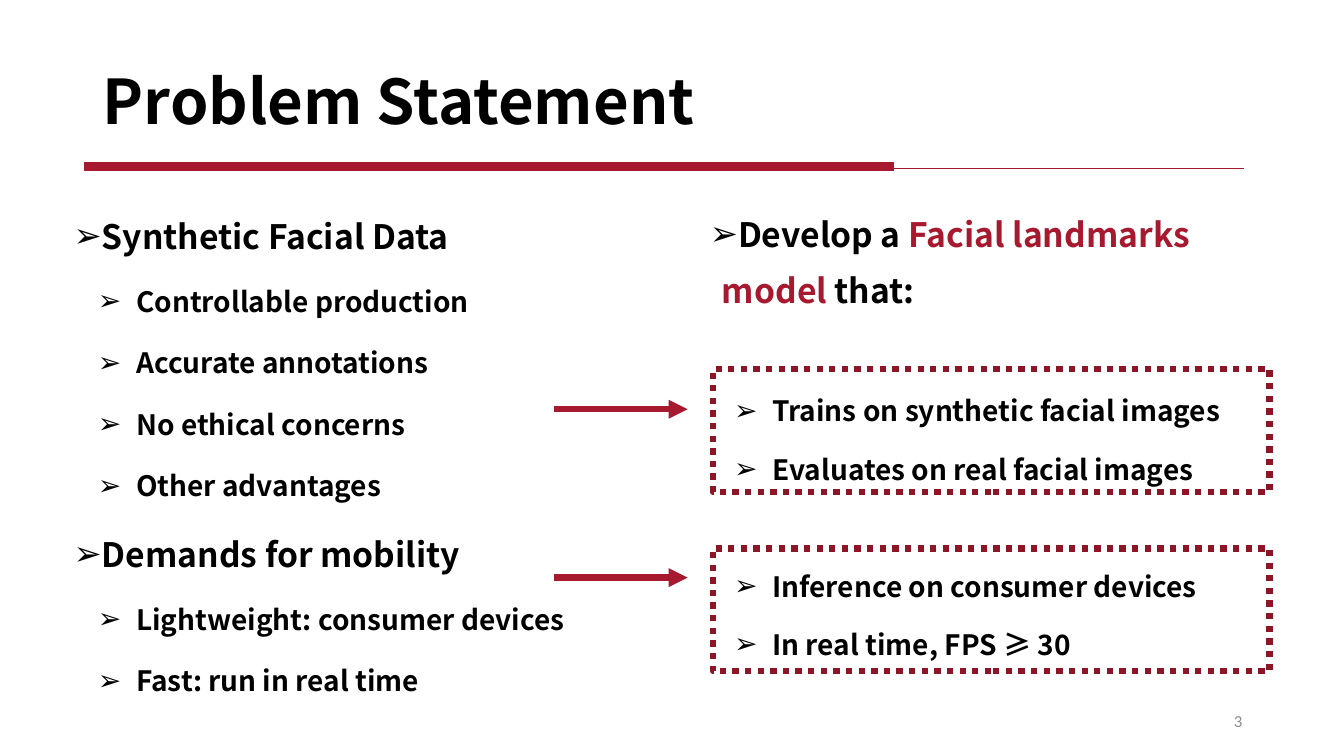
"""Build the Problem Statement slide."""
from lxml import etree
from pptx import Presentation
from pptx.dml.color import RGBColor
from pptx.enum.dml import MSO_LINE
from pptx.enum.shapes import MSO_CONNECTOR, MSO_SHAPE
from pptx.enum.text import MSO_ANCHOR, MSO_AUTO_SIZE, PP_ALIGN
from pptx.oxml.ns import qn
from pptx.util import Inches, Pt

STRAIGHT = MSO_CONNECTOR.STRAIGHT
RECTANGLE = MSO_SHAPE.RECTANGLE
DOTTED = MSO_LINE.ROUND_DOT
MIDDLE = MSO_ANCHOR.MIDDLE
NO_AUTOFIT = MSO_AUTO_SIZE.NONE
LEFT, RIGHT = PP_ALIGN.LEFT, PP_ALIGN.RIGHT

HEADING_FONT = "Noto Sans CJK SC"
BLACK, RED, DARK_RED, GRAY = "000000", "A6192E", "8D1526", "8C8C8C"
LEVEL_SIZES = (24, 20)
LEVEL_MARGINS = (0.12, 0.62)
HANGING = -0.38
GROUP_GAP = 42

TITLE = "Problem Statement"
MOTIVATION = [
    (0, 0, [("Synthetic Facial Data", BLACK)]),
    (1, 0, [("Controllable production", BLACK)]),
    (1, 0, [("Accurate annotations", BLACK)]),
    (1, 0, [("No ethical concerns", BLACK)]),
    (1, 0, [("Other advantages", BLACK)]),
    (0, 0, [("Demands for mobility", BLACK)]),
    (1, 0, [("Lightweight: consumer devices", BLACK)]),
    (1, 0, [("Fast: run in real time", BLACK)]),
]
GOALS = [
    (0, 0, [("Develop a ", BLACK), ("Facial landmarks model ", RED), ("that:", BLACK)]),
    (1, GROUP_GAP, [("Trains on synthetic facial images", BLACK)]),
    (1, 0, [("Evaluates on real facial images", BLACK)]),
    (1, GROUP_GAP, [("Inference on consumer devices", BLACK)]),
    (1, 0, [("In real time, FPS ≥ 30", BLACK)]),
]
COLUMNS = [
    (1, (0.63, 1.89, 6.52, 5.46), 1.5, MOTIVATION),
    (2, (6.94, 1.91, 5.41, 4.76), 1.4, GOALS),
]
RULES = [(0.83, 8.87, 1.65, 6), (7.07, 12.34, 1.67, 0.5)]
ARROW_TOPS = (4.06, 5.73)
GOAL_BOX_TOPS = (3.66, 5.44)


def color(hex_string):
    return RGBColor.from_string(hex_string)


def add_text(paragraph, text, size=20, font=HEADING_FONT, fill=BLACK, bold=True):
    run = paragraph.add_run()
    run.text = text
    run.font.name = font
    run.font.size = Pt(size)
    run.font.bold = bold
    run.font.color.rgb = color(fill)


def place(shape, box):
    shape.left, shape.top, shape.width, shape.height = map(Inches, box)
    shape.text_frame.word_wrap = True
    shape.text_frame.auto_size = NO_AUTOFIT


def add_bullet(paragraph, level):
    properties = paragraph._p.get_or_add_pPr()
    properties.set("marL", str(Inches(LEVEL_MARGINS[level])))
    properties.set("indent", str(Inches(HANGING)))
    etree.SubElement(properties, qn("a:buChar")).set("char", "➢")
    paragraph.level = level


def fill_column(shape, box, line_spacing, items):
    place(shape, box)
    frame = shape.text_frame
    for index, (level, gap, runs) in enumerate(items):
        paragraph = frame.add_paragraph() if index else frame.paragraphs[0]
        add_bullet(paragraph, level)
        paragraph.alignment = LEFT
        paragraph.line_spacing = line_spacing
        paragraph.space_before = Pt(gap)
        paragraph.space_after = Pt(8)
        for text, fill in runs:
            add_text(paragraph, text, size=LEVEL_SIZES[level], fill=fill)


def add_line(slide, start, end, top, width, arrow=False):
    line = slide.shapes.add_connector(
        STRAIGHT, Inches(start), Inches(top), Inches(end), Inches(top))
    line.line.color.rgb = color(RED)
    line.line.width = Pt(width)
    if arrow:
        outline = line.line._get_or_add_ln()
        etree.SubElement(outline, qn("a:tailEnd")).set("type", "triangle")
    etree.SubElement(line._element.spPr, qn("a:effectLst"))


def add_goal_box(slide, top):
    shape = slide.shapes.add_shape(
        RECTANGLE, Inches(7.07), Inches(top), Inches(5.52), Inches(1.22))
    shape.shadow.inherit = False
    shape.fill.background()
    shape.line.color.rgb = color(DARK_RED)
    shape.line.width = Pt(4.5)
    shape.line.dash_style = DOTTED


def main():
    presentation = Presentation()
    presentation.slide_width, presentation.slide_height = Inches(13.33), Inches(7.5)
    slide = presentation.slides.add_slide(presentation.slide_layouts[3])

    title = slide.shapes.title
    place(title, (0.92, 0.31, 11.5, 1.45))
    title.text_frame.vertical_anchor = MIDDLE
    heading = title.text_frame.paragraphs[0]
    heading.alignment = LEFT
    heading.line_spacing = 0.9
    add_text(heading, TITLE, size=44)

    for index, box, line_spacing, items in COLUMNS:
        fill_column(slide.placeholders[index], box, line_spacing, items)
    for start, end, top, width in RULES:
        add_line(slide, start, end, top, width)
    for top in ARROW_TOPS:
        add_line(slide, 5.49, 6.82, top, 4.5, arrow=True)
    for top in GOAL_BOX_TOPS:
        add_goal_box(slide, top)

    page_number = slide.shapes.add_textbox(0, 0, 0, 0)
    place(page_number, (9.42, 6.95, 3, 0.4))
    page_number.text_frame.vertical_anchor = MIDDLE
    paragraph = page_number.text_frame.paragraphs[0]
    paragraph.alignment = RIGHT
    add_text(paragraph, "3", size=12, font="Calibri", fill=GRAY, bold=False)

    presentation.save("out.pptx")


if __name__ == "__main__":
    main()
